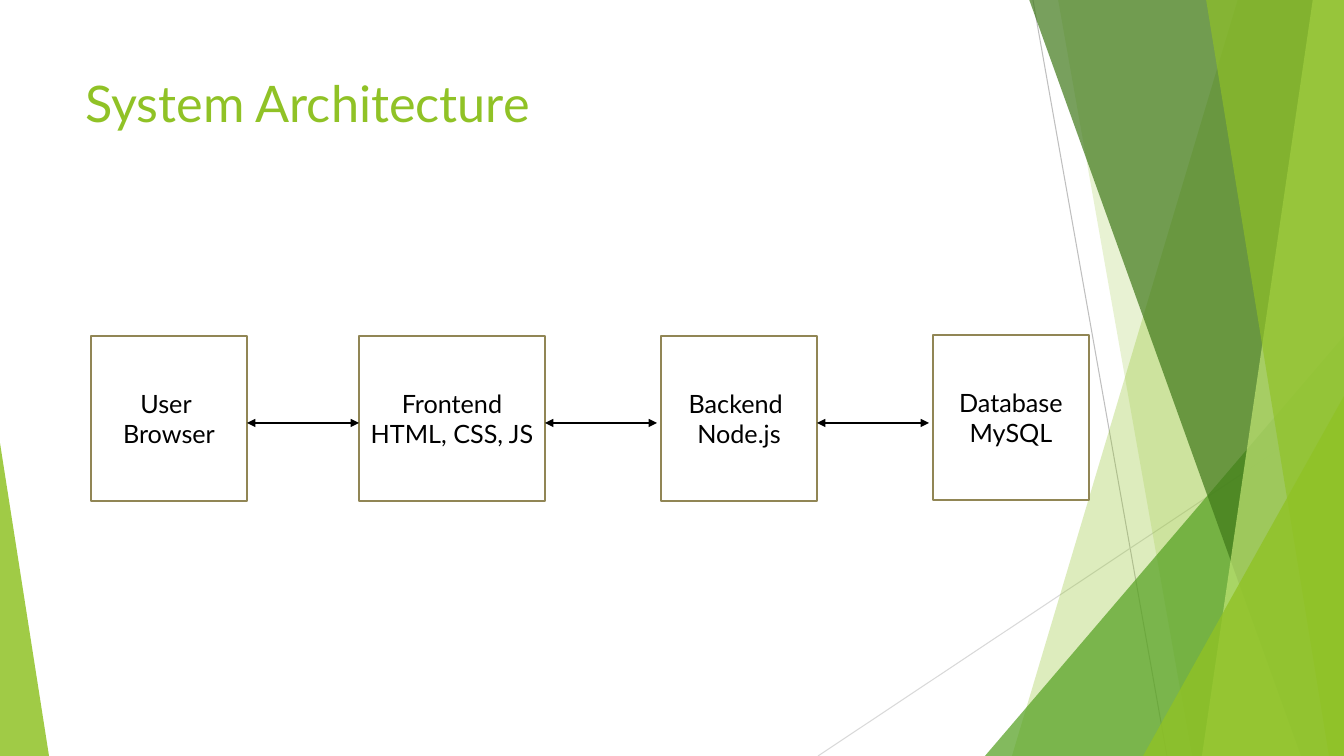
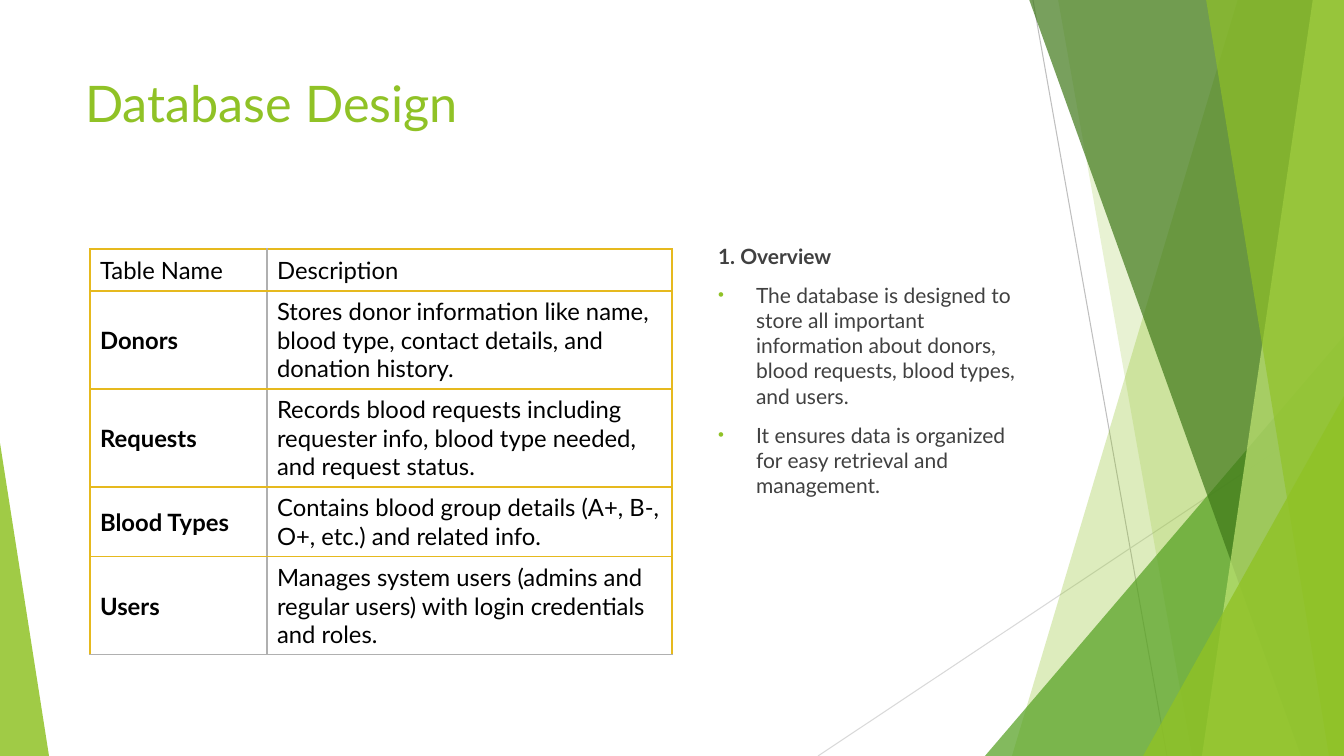
from lxml import etree
from pptx import Presentation
from pptx import util as u
from pptx.dml.color import RGBColor
from pptx.enum import shapes, text
from pptx.oxml.ns import qn

PX = 12192000 / 1344  # EMU in one px
WIDTH, HEIGHT = 1344, 756
FONT = "Lato"
GREEN, MID_GREEN, DARK_GREEN, PALE_GREEN = "90C226", "54A021", "3F7819", "C0E474"
BLACK, WHITE, BODY_GREY = "000000", "FFFFFF", "404040"
BOX_LINE, TABLE_GOLD, TABLE_GREY = "918655", "E6B91E", "B0B0B0"

TABLE_ROWS = [
    ("Table Name", "Description"),
    ("Donors", "Stores donor information like name, blood type, "
               "contact details, and donation history."),
    ("Requests", "Records blood requests including requester info, "
                 "blood type needed, and request status."),
    ("Blood Types", "Contains blood group details (A+, B-, O+, etc.) and related info."),
    ("Users", "Manages system users (admins and regular users) "
              "with login credentials and roles."),
]
OVERVIEW = [
    "The database is designed to store all important information about donors, "
    "blood requests, blood types, and users.",
    "It ensures data is organized for easy retrieval and management.",
]


def px(value):
    return u.Emu(round(value * PX))


def rgb(colour):
    return RGBColor.from_string(colour)


def sub(parent, tag, **attributes):
    return etree.SubElement(parent, qn(tag), attributes)


def place(shape, left, top, width, height):
    shape.left, shape.top, shape.width, shape.height = map(px, (left, top, width, height))


def write(paragraph, content, size=18, colour=BLACK, bold=False,
          align=text.PP_ALIGN.LEFT, before=0, hanging=None, bullet=None):
    """Fill one paragraph with formatted text."""
    properties = paragraph._p.get_or_add_pPr()
    if hanging is not None:
        properties.set("marL", str(px(hanging)))
        properties.set("indent", str(-px(hanging)))
        if bullet:
            sub(sub(properties, "a:buClr"), "a:srgbClr", val=GREEN)
            sub(properties, "a:buSzPct", val="80000")
            sub(properties, "a:buFont", typeface="Arial")
            sub(properties, "a:buChar", char=bullet)
        else:
            sub(properties, "a:buNone")
    paragraph.alignment = align
    paragraph.space_before = u.Pt(before)
    run = paragraph.add_run()
    run.text = content
    run.font.name, run.font.size, run.font.bold = FONT, u.Pt(size), bold
    run.font.color.rgb = rgb(colour)


def add_line(parent, start, end, colour, width, arrows=False):
    line = parent.add_connector(shapes.MSO_CONNECTOR.STRAIGHT, *map(px, start + end))
    line.line.color.rgb = rgb(colour)
    line.line.width = u.Pt(width)
    if arrows:
        outline = line.line._get_or_add_ln()
        sub(outline, "a:headEnd", type="triangle")
        sub(outline, "a:tailEnd", type="triangle")
    sub(line.element.spPr, "a:effectLst")


# Shared background
def tint(shape, colour, opacity):
    shape.shadow.inherit = False
    shape.fill.solid()
    shape.fill.fore_color.rgb = rgb(colour)
    shape.line.fill.background()
    for value in shape.element.xpath(".//a:solidFill/a:srgbClr"):
        sub(value, "a:alpha", val=str(opacity * 1000))


def add_shard(parent, top_x, bottom_x, colour, opacity):
    """A band from its slanted left side to the right edge of the slide."""
    builder = parent.build_freeform(top_x, -1, scale=PX)
    builder.add_line_segments([(WIDTH, -1), (WIDTH, HEIGHT), (bottom_x, HEIGHT)])
    tint(builder.convert_to_shape(), colour, opacity)


def add_corner(parent, left, top, width, apex, colour, opacity):
    """A triangle standing on the bottom edge of the slide."""
    corner = parent.add_shape(shapes.MSO_SHAPE.ISOSCELES_TRIANGLE,
                              *map(px, (left, top, width, HEIGHT - top)))
    corner.adjustments[0] = apex
    tint(corner, colour, opacity)


def add_background(master, slide):
    """Draw the facets in a group, then hand the group to the master."""
    group = slide.shapes.add_group_shape()
    parts = group.shapes
    add_line(parts, (1033, 0), (1167, HEIGHT), "BFBFBF", 0.75)
    add_line(parts, (WIDTH, 406), (818, HEIGHT), "D9D9D9", 0.75)
    add_shard(parts, 1238, 1012, GREEN, 30)
    add_shard(parts, 1058, 1192, GREEN, 20)
    add_corner(parts, 985, 336, 359, 1, MID_GREEN, 72)
    add_shard(parts, 1029, 1301, DARK_GREEN, 70)
    add_shard(parts, 1313, 1202, PALE_GREEN, 70)
    add_shard(parts, 1206, 1329, GREEN, 65)
    add_corner(parts, 1143, 396, 201, 1, GREEN, 80)
    add_corner(parts, 0, 443, 49, 0, GREEN, 85)
    for number, properties in enumerate(group.element.xpath(".//p:cNvPr"), 100):
        properties.set("id", str(number))
    master.shapes.element.insert(2, group.element)


def add_title(slide, content):
    title = slide.shapes.title
    place(title, 75, 67, 948, 145)
    frame = title.text_frame
    frame.vertical_anchor = text.MSO_ANCHOR.TOP
    frame.auto_size = text.MSO_AUTO_SIZE.NONE
    write(frame.paragraphs[0], content, size=36, colour=GREEN)


# System architecture
def add_box(slide, lines, left, top, width, height):
    box = slide.shapes.add_shape(shapes.MSO_SHAPE.RECTANGLE,
                                 *map(px, (left, top, width, height)))
    box.shadow.inherit = False
    box.fill.solid()
    box.fill.fore_color.rgb = rgb(WHITE)
    box.line.color.rgb = rgb(BOX_LINE)
    box.line.width = u.Pt(1.5)
    frame = box.text_frame
    frame.word_wrap = True
    frame.vertical_anchor = text.MSO_ANCHOR.MIDDLE
    for index, content in enumerate(lines):
        paragraph = frame.add_paragraph() if index else frame.paragraphs[0]
        write(paragraph, content, align=text.PP_ALIGN.CENTER)


def add_flow(slide, left, top, height):
    """Boxes at offsets from the left, each but the last followed by an arrow."""
    boxes = [
        (("User ", "Browser"), 0, 0, 156),
        (("Frontend", "HTML, CSS, JS"), 268, 0, 186),
        (("Backend ", "Node.js"), 570, 0, 156),
        (("Database", "MySQL"), 842, -1, 156),
    ]
    arrow_y, arrow_length = top + 87, 112
    for lines, x, y, width in boxes:
        add_box(slide, lines, left + x, top + y, width, height)
    for _, x, _, width in boxes[:-1]:
        start = left + x + width
        add_line(slide.shapes, (start, arrow_y), (start + arrow_length, arrow_y),
                 BLACK, 1, arrows=True)


# Database design
def set_borders(cell, **colours):
    properties = cell._tc.get_or_add_tcPr()
    for index, side in enumerate("LRTB"):
        border = etree.Element(qn("a:ln" + side), w=str(u.Pt(1)))
        colour = colours.get(side, TABLE_GOLD)
        sub(sub(border, "a:solidFill"), "a:srgbClr", val=colour)
        properties.insert(index, border)


def add_description_table(slide, left, top, widths, heights):
    frame = slide.shapes.add_table(
        len(heights), len(widths), *map(px, (left, top, sum(widths), sum(heights))))
    table = frame.table
    table.first_row = table.horz_banding = False
    for column, width in zip(table.columns, widths):
        column.width = px(width)
    for row, height in zip(table.rows, heights):
        row.height = px(height)
    for row, contents in enumerate(TABLE_ROWS):
        for column, content in enumerate(contents):
            cell = table.cell(row, column)
            cell.vertical_anchor = text.MSO_ANCHOR.MIDDLE
            cell.fill.background()
            # Grey on the column divider and the bottom edge
            greys = {"L" if column else "R": TABLE_GREY}
            if row == len(TABLE_ROWS) - 1:
                greys["B"] = TABLE_GREY
            set_borders(cell, **greys)
            write(cell.text_frame.paragraphs[0], content, size=17,
                  bold=row > 0 and column == 0)


def add_overview(slide, left, top, width, height):
    body = slide.placeholders[1]
    place(body, left, top, width, height)
    frame = body.text_frame
    frame.auto_size = text.MSO_AUTO_SIZE.NONE
    style = dict(size=15, colour=BODY_GREY, hanging=38)
    write(frame.paragraphs[0], "1. Overview", bold=True, **style)
    for content in OVERVIEW:
        write(frame.add_paragraph(), content, before=10, bullet="•", **style)


def main():
    presentation = Presentation()
    presentation.slide_width, presentation.slide_height = px(WIDTH), px(HEIGHT)
    layouts = presentation.slide_layouts

    architecture = presentation.slides.add_slide(layouts.get_by_name("Title Only"))
    add_background(presentation.slide_master, architecture)
    add_title(architecture, "System Architecture")
    add_flow(architecture, 91, 336, 165)

    database = presentation.slides.add_slide(layouts.get_by_name("Title and Content"))
    add_title(database, "Database Design")
    add_overview(database, 708, 238, 323, 427)
    add_description_table(database, 90, 249, (177, 405), (42, 98, 98, 70, 98))

    presentation.save("out.pptx")


if __name__ == "__main__":
    main()
